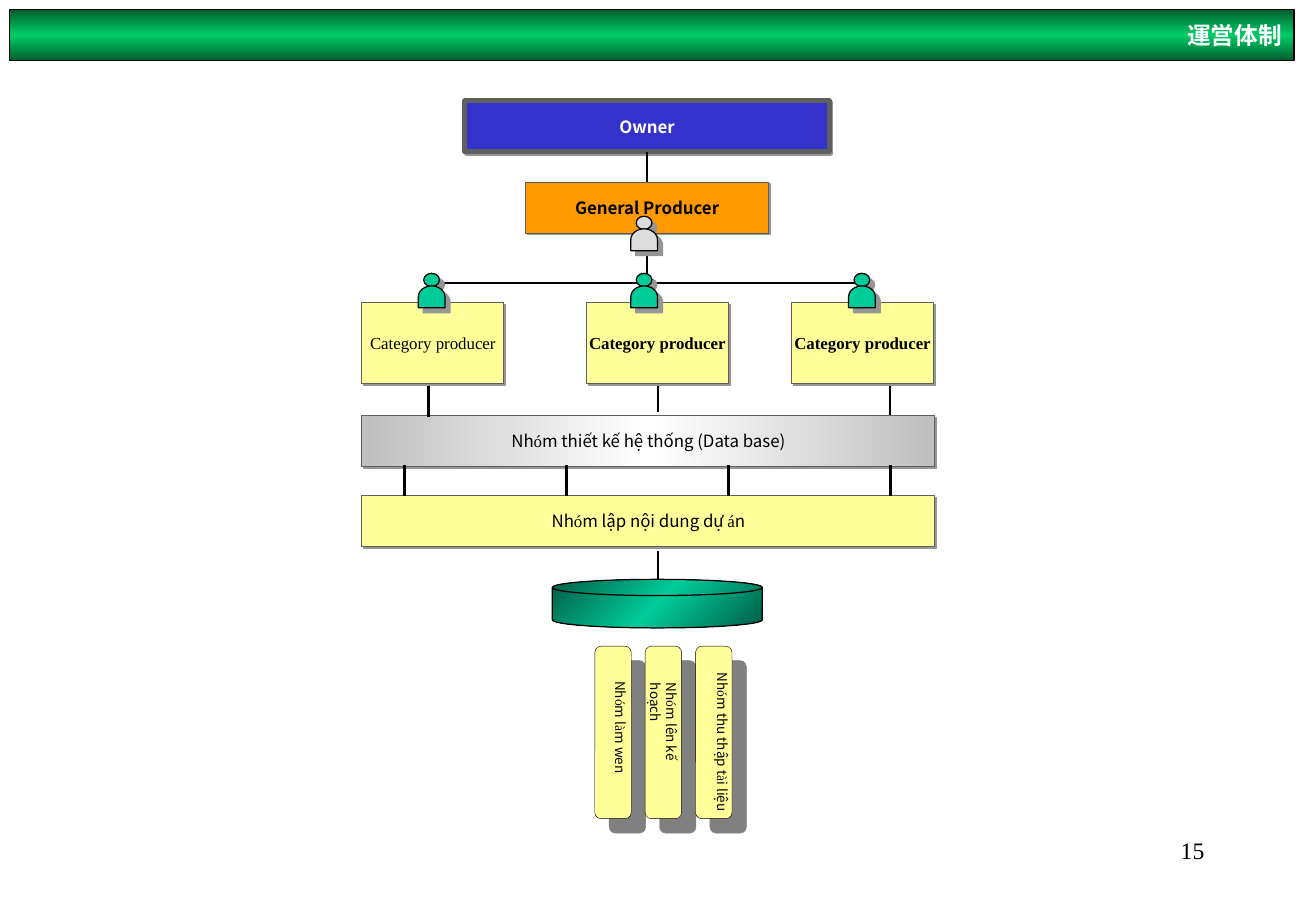
"""Build the operating structure slide with its producer and team chart."""
from copy import deepcopy
from itertools import groupby

from lxml import etree
from pptx import Presentation
from pptx import util as u
from pptx.dml.color import RGBColor
from pptx.enum import shapes, text
from pptx.oxml import ns

COLORS = {
    "black": "000000", "white": "FFFFFF", "grey": "5F5F5F", "silver": "C0C0C0",
    "shade": "969696", "deep shade": "808080", "blue": "3333CC",
    "orange": "FF9900", "yellow": "FFFF99", "light": "DDDDDD",
    "green": "00CC66", "dark green": "005E2F", "teal": "00CC99", "dark teal": "005E47",
}
SANS, SERIF = "Noto Sans CJK JP", "Times New Roman"
SERIF_LETTERS = "óàá"
KIND = shapes.MSO_SHAPE

TITLE = "運営体制"
TITLE_BOX = (5.76, 5.76, 761.76, 30.24)
PAGE_NUMBER = "15"
PAGE_NUMBER_BOX = (558.72, 491.76, 162.72, 36)
BOXES = [
    ("Owner", (275.76, 59.76, 216, 30.24), "blue",
     dict(color="white", bold=True), 3),
    ("General Producer", (311.76, 108, 144, 30.24), "orange", dict(bold=True), 0.5),
    ("Nhóm thiết kế hệ thống (Data base)", (214.56, 246.24, 339.84, 30.24),
     ("silver", "white", 0), {}, 0.5),
    ("Nhóm lập nội dung dự án", (214.56, 293.76, 339.84, 30.24), "yellow", {}, 0.5),
]
PRODUCERS = [(214.56, False), (347.76, True), (469.44, True)]
LINES = [
    (383.76, 90, 383.76, 108),
    (259.92, 167.76, 509.04, 167.76),
    (383.76, 138.24, 383.76, 167.76),
    (254.16, 228.96, 254.16, 246.96),
    (390.24, 226.08, 390.24, 244.08),
    (527.76, 228.24, 527.76, 246.24),
    (390.24, 326.88, 390.24, 350.64),
] + [(240 + 96 * i, 275.76, 240 + 96 * i, 293.76) for i in range(4)]
PEOPLE = [(382, 128.16, "light"), (256, 162, "teal"),
          (382, 162, "teal"), (511.2, 162, "teal")]
TEAMS = [
    ("Nhóm làm wen", (352.8, 388.8, 23.76, 84.24), 15),
    ("Nhóm lên kế hoạch", (373.68, 388.8, 33.12, 78.48), 16),
    ("Nhóm thu thập tài liệu", (413.28, 388.8, 23.76, 102.24), 10),
]
DISK = (327.6, 343.44, 124.56, 28.8)


def rgb(name):
    return RGBColor.from_string(COLORS[name])


def points(values):
    return [u.Pt(value) for value in values]


def write(box, words, size=10, font=SANS, color="black", bold=False, align="CENTER",
          anchor="MIDDLE", wrap=False, insets=(7.2, 3.6, 3.6), vertical=False):
    frame = box.text_frame
    frame.word_wrap = wrap
    frame.auto_size = text.MSO_AUTO_SIZE.NONE
    frame.vertical_anchor = text.MSO_ANCHOR[anchor]
    side, frame.margin_top, frame.margin_bottom = points(insets)
    frame.margin_left = frame.margin_right = side
    if vertical:
        frame.auto_size = text.MSO_AUTO_SIZE.SHAPE_TO_FIT_TEXT
        box._element.txBody.find(ns.qn("a:bodyPr")).set("vert", "eaVert")
    para = frame.paragraphs[0]
    para.alignment = text.PP_ALIGN[align]
    for serif, letters in groupby(words, lambda letter: letter in SERIF_LETTERS):
        span = para.add_run()
        span.text = "".join(letters)
        span.font.size = u.Pt(size)
        span.font.bold = bold
        span.font.color.rgb = rgb(color)
        span.font.name = SERIF if serif else font
        etree.SubElement(span._r.get_or_add_rPr(), ns.qn("a:ea"), typeface=SANS)


def paint(shape, fill, line="black", width=0.75, shadow=None, shade="shade"):
    if isinstance(fill, tuple):
        edge, middle, angle = fill
        shape.fill.gradient()
        shape.fill.gradient_angle = angle
        stops = shape._element.spPr.find(".//" + ns.qn("a:gsLst"))
        stops.append(deepcopy(stops[0]))
        for stop, name, position in zip(shape.fill.gradient_stops,
                                        (edge, middle, edge), (0, 0.5, 1)):
            stop.color.rgb = rgb(name)
            stop.position = position
    else:
        shape.fill.solid()
        shape.fill.fore_color.rgb = rgb(fill)
    shape.line.color.rgb = rgb(line)
    shape.line.width = u.Pt(width)
    shape.shadow.inherit = False
    if shadow:
        effects = shape._element.spPr.find(ns.qn("a:effectLst"))
        outer = etree.SubElement(effects, ns.qn("a:outerShdw"), blurRad="0",
                                 dist=str(u.Pt(shadow)), dir="2700000",
                                 algn="ctr", rotWithShape="0")
        etree.SubElement(outer, ns.qn("a:srgbClr"), val=COLORS[shade])


def add_box(page, place, words, fill, width=0.5, **style):
    box = page.shapes.add_shape(KIND.RECTANGLE, *points(place))
    paint(box, fill, "grey", width, shadow=1.4)
    write(box, words, **style)


def add_line(page, ends):
    line = page.shapes.add_connector(shapes.MSO_CONNECTOR.STRAIGHT, *points(ends))
    line.line.color.rgb = rgb("black")
    line.line.width = u.Pt(1.5)
    etree.SubElement(line._element.spPr, ns.qn("a:effectLst"))


def add_person(page, center, top, fill):
    person = page.shapes.add_group_shape()
    head = person.shapes.add_shape(
        KIND.OVAL, *points((center - 4.68, top, 9.36, 7.92)))
    body = person.shapes.add_shape(
        KIND.FLOWCHART_DELAY, *points((center - 6.48, top + 6, 12.96, 15.84)))
    body.rotation = 270
    for part in (head, body):
        paint(part, fill, shadow=4.2)


def main():
    deck = Presentation()
    deck.slide_width, deck.slide_height = points((780.48, 540))
    page = deck.slides.add_slide(deck.slide_layouts[5])

    title = page.shapes.title
    title.left, title.top, title.width, title.height = points(TITLE_BOX)
    paint(title, ("dark green", "green", 90))
    write(title, TITLE, size=14, font=SERIF, color="white", bold=True,
          align="RIGHT", wrap=True)

    number = page.shapes.add_textbox(*points(PAGE_NUMBER_BOX))
    write(number, PAGE_NUMBER, size=14, font=SERIF, align="RIGHT",
          anchor="TOP", wrap=True)

    for words, place, fill, style, width in BOXES:
        add_box(page, place, words, fill, width, **style)
    for ends in LINES:
        add_line(page, ends)
    for left, bold in PRODUCERS:
        add_box(page, (left, 179.28, 84.24, 48.24), "Category producer", "yellow",
                font=SERIF, bold=bold)
    for person in PEOPLE:
        add_person(page, *person)

    for i in range(len(TEAMS)):
        column = page.shapes.add_shape(
            KIND.ROUNDED_RECTANGLE, *points((352.8 + 29.88 * i, 383.04, 21.6, 102.24)))
        column.adjustments[0] = 0.17
        paint(column, "yellow", width=0.25, shadow=12.1, shade="deep shade")
    for words, place, lead in TEAMS:
        label = page.shapes.add_textbox(*points(place))
        write(label, words, size=8, align="LEFT", anchor="TOP", wrap=True,
              insets=(3.6, lead, 7.2), vertical=True)

    disk = page.shapes.add_shape(KIND.FLOWCHART_MAGNETIC_DISK, *points(DISK))
    paint(disk, ("dark teal", "teal", 315))

    deck.save("out.pptx")


if __name__ == "__main__":
    main()
